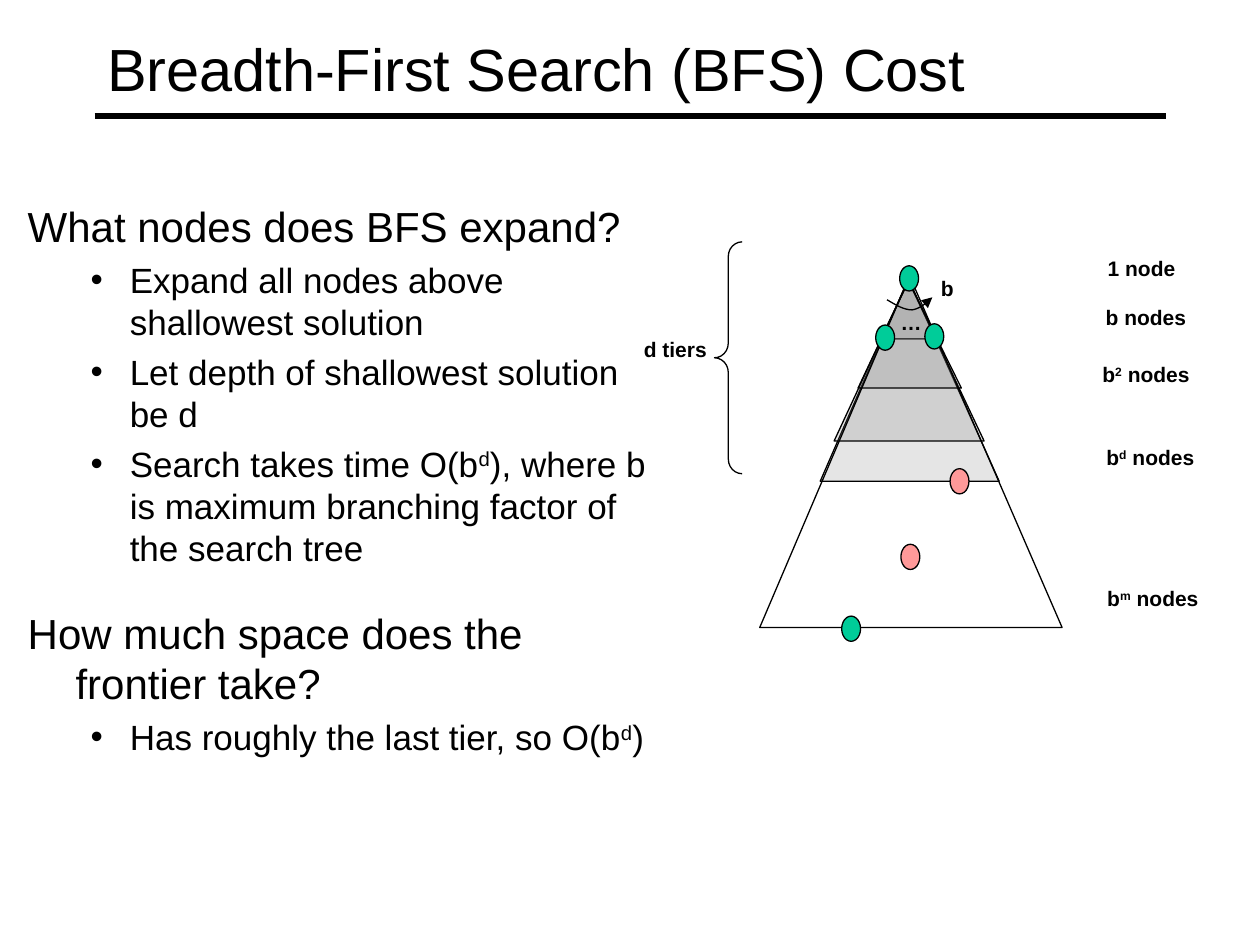
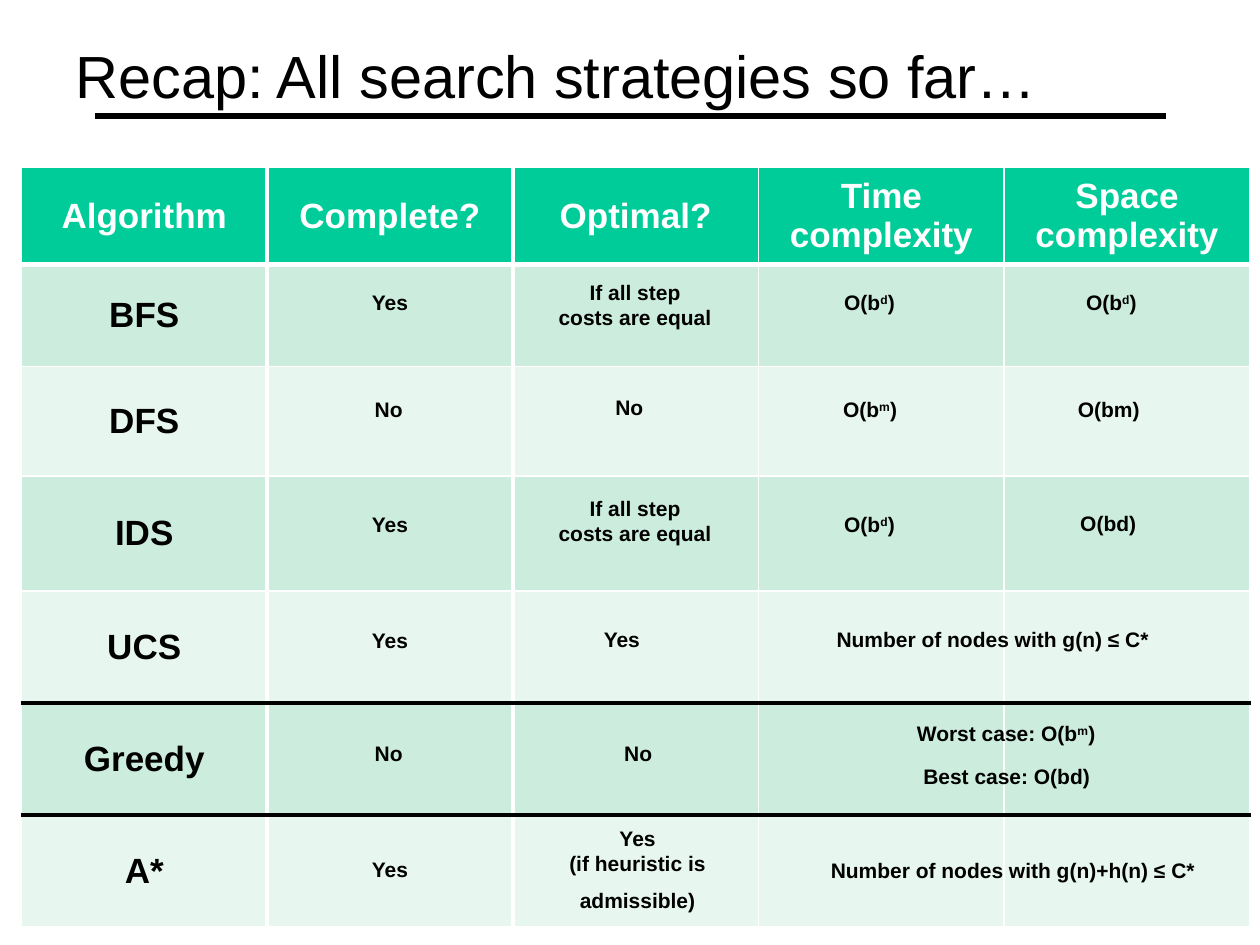
import collections

import lxml.etree
import pptx
import pptx.dml.color
import pptx.enum.shapes
import pptx.enum.text
import pptx.oxml.ns
import pptx.util

Inches = pptx.util.Inches
Pt = pptx.util.Pt
SHAPES = pptx.enum.shapes.MSO_SHAPE
ALIGN = pptx.enum.text.PP_ALIGN
ANCHOR = pptx.enum.text.MSO_ANCHOR
qn = pptx.oxml.ns.qn

Box = collections.namedtuple("Box", "left top width height")


class Theme:
    font = "Arial"
    black, white, gray = "000000", "FFFFFF", "808080"
    green, pink = "00CC99", "FF9999"
    bands = ("CCECDE", "E7F6EF")
    title, heading, item, label = 34, 24, 20, 12
    thin, rule = 0.75, 3


def color(value):
    return pptx.dml.color.RGBColor.from_string(value)


def set_values(target, values):
    for name, value in values.items():
        setattr(target, name, value)


def inches(*lengths):
    return [Inches(length) for length in lengths]


def write(paragraph, text, size, bold=False, fill=Theme.black):
    """Write text where ^...^ marks a superscript and a newline a line break."""
    for row, line in enumerate(text.split("\n")):
        if row:
            paragraph.add_line_break()
        for index, part in enumerate(line.split("^")):
            if not part:
                continue
            run = paragraph.add_run()
            run.text = part
            set_values(run.font, {"name": Theme.font, "size": Pt(size), "bold": bold})
            run.font.color.rgb = color(fill)
            if index % 2:
                run.font._element.set("baseline", "30000")


def style_shape(shape, fill=None, opacity=None):
    shape.shadow.inherit = False
    set_values(shape.line, {"width": Pt(Theme.thin)})
    shape.line.color.rgb = color(Theme.black)
    if fill is None:
        shape.fill.background()
        return
    shape.fill.solid()
    shape.fill.fore_color.rgb = color(fill)
    if opacity:
        srgb = shape._element.spPr.find(qn("a:solidFill")).find(qn("a:srgbClr"))
        lxml.etree.SubElement(srgb, qn("a:alpha")).set("val", str(opacity * 1000))


def add_label(slide, left, top, width, height, text):
    """Add a bold centred label; a list of texts gives several paragraphs."""
    frame = slide.shapes.add_textbox(*inches(left, top, width, height)).text_frame
    frame.word_wrap = False
    for index, line in enumerate(text if isinstance(text, list) else [text]):
        paragraph = frame.add_paragraph() if index else frame.paragraphs[0]
        paragraph.alignment = ALIGN.CENTER
        if index:
            paragraph.space_before = Pt(7)
        write(paragraph, line, Theme.label, bold=True)


def add_polygon(slide, points, close=True):
    builder = slide.shapes.build_freeform(*inches(*points[0]), scale=1.0)
    builder.add_line_segments([inches(*point) for point in points[1:]], close=close)
    return builder.convert_to_shape()


def place(placeholder, box, anchor):
    set_values(placeholder, dict(zip(box._fields, inches(*box))))
    frame = placeholder.text_frame
    set_values(frame, {"word_wrap": True, "vertical_anchor": anchor,
                       "auto_size": pptx.enum.text.MSO_AUTO_SIZE.NONE})
    return frame


def add_slide(presentation, layout, title, title_box):
    """Start a slide with the shared rule and title."""
    slide = presentation.slides.add_slide(presentation.slide_layouts[layout])
    rule = slide.shapes.add_connector(
        pptx.enum.shapes.MSO_CONNECTOR.STRAIGHT, *inches(0.75, 0.92, 9.25, 0.92))
    rule.line.width = Pt(Theme.rule)
    rule.line.color.rgb = color(Theme.black)
    lxml.etree.SubElement(rule._element.spPr, qn("a:effectLst"))
    paragraph = place(slide.shapes.title, title_box, ANCHOR.MIDDLE).paragraphs[0]
    paragraph.alignment = ALIGN.LEFT
    write(paragraph, title, Theme.title)
    return slide


def fill_outline(placeholder, box, entries):
    """Entries are (level, text): level 0 is a heading, level 1 a bullet."""
    frame = place(placeholder, box, ANCHOR.TOP)
    for index, (level, text) in enumerate(entries):
        paragraph = frame.add_paragraph() if index else frame.paragraphs[0]
        margin, hanging = ((0.38, 0.38), (0.81, 0.31))[level]
        properties = paragraph._p.get_or_add_pPr()
        properties.set("marL", str(Inches(margin)))
        properties.set("indent", str(-Inches(hanging)))
        if level:
            lxml.etree.SubElement(properties, qn("a:buFont")).set("typeface", Theme.font)
            lxml.etree.SubElement(properties, qn("a:buChar")).set("char", "•")
        else:
            lxml.etree.SubElement(properties, qn("a:buNone"))
        before = 0 if index == 0 else 4.5 if level else 22
        set_values(paragraph, {"level": level, "space_before": Pt(before),
                               "alignment": ALIGN.LEFT})
        write(paragraph, text, Theme.item if level else Theme.heading)


def add_branching_arrow(slide, x, y):
    """Draw the curved arrow that sweeps across the branches of the root."""
    curves = [((0, 0.02), (0.07, 0.06), (0.13, 0.1), (0.2, 0.1)),
              ((0.2, 0.1), (0.26, 0.09), (0.31, 0.05), (0.36, 0))]
    steps = 8
    points = [(x, y + 0.02)]
    for curve in curves:
        for step in range(1, steps + 1):
            t = step / steps
            weights = ((1 - t) ** 3, 3 * t * (1 - t) ** 2, 3 * t * t * (1 - t), t ** 3)
            points.append((x + sum(w * p[0] for w, p in zip(weights, curve)),
                           y + sum(w * p[1] for w, p in zip(weights, curve))))
    arrow = add_polygon(slide, points, close=False)
    style_shape(arrow)
    line = arrow.line._get_or_add_ln()
    lxml.etree.SubElement(line, qn("a:tailEnd")).set("type", "triangle")


def add_search_tree(slide, box):
    x, y = box.left, box.top
    apex = x + 2.37
    # Each tier: left, right, top, bottom
    tiers = [(2.15, 2.6, 0.31, 0.77), (1.67, 3.09, 0.29, 1.9),
             (1.78, 2.97, 0.31, 1.58), (1.97, 2.79, 0.31, 1.16)]
    for left, right, top, bottom in tiers:
        tier = add_polygon(slide, [(apex, y + top), (x + left, y + bottom),
                                   (x + right, y + bottom)])
        style_shape(tier, Theme.gray, opacity=20)
    style_shape(add_polygon(slide, [(x + 1.19, y + 3.06), (x + 3.59, y + 3.06),
                                    (apex + 0.01, y + 0.27)]))
    nodes = [(2.3, 0.19, Theme.green), (2.11, 0.66, Theme.green),
             (2.5, 0.65, Theme.green), (1.84, 2.97, Theme.green),
             (2.7, 1.8, Theme.pink), (2.31, 2.4, Theme.pink)]
    for left, top, fill in nodes:
        node = slide.shapes.add_shape(SHAPES.OVAL, *inches(x + left, y + top, 0.15, 0.2))
        style_shape(node, fill)
    add_branching_arrow(slide, x + 2.2, y + 0.44)
    brace = slide.shapes.add_shape(SHAPES.LEFT_BRACE, *inches(x + 0.83, y, 0.22, 1.84))
    brace.adjustments[0] = 0.529
    style_shape(brace)
    labels = [(2.21, 0.49, 0.23, "…"), (2.53, 0.22, 0.24, "b"), (0, 0.7, 1.04, "d tiers"),
              (3.7, 0.06, 1.04, "1 node"), (3.7, 0.45, 1.11, "b nodes"),
              (3.7, 0.9, 1.11, "b^2^ nodes"), (3.69, 1.56, 1.2, "b^d^ nodes"),
              (3.71, 2.68, 1.2, "b^m^ nodes")]
    for left, top, width, text in labels:
        add_label(slide, x + left, y + top, width, 0.3, text)


def set_border(cell, side, fill, width):
    properties = cell._tc.get_or_add_tcPr()
    line = lxml.etree.SubElement(properties, qn("a:" + side), w=str(Pt(width)))
    solid = lxml.etree.SubElement(line, qn("a:solidFill"))
    lxml.etree.SubElement(solid, qn("a:srgbClr")).set("val", fill)


def add_strategy_table(slide, box, headers, algorithms, heights, ruled_rows):
    rows, columns = len(heights), len(headers)
    table = slide.shapes.add_table(rows, columns, *inches(*box)).table
    for column in table.columns:
        column.width = Inches(box.width / columns)
    for row, height in enumerate(heights):
        table.rows[row].height = Inches(height)
        texts = headers if row == 0 else [algorithms[row - 1]] + [""] * (columns - 1)
        for column, text in enumerate(texts):
            cell = table.cell(row, column)
            cell.vertical_anchor = ANCHOR.MIDDLE
            set_border(cell, "lnR", Theme.white, 3 if column < 2 else 1)
            set_border(cell, "lnB", Theme.black if row in ruled_rows else Theme.white,
                       3 if row == 0 or row in ruled_rows else 1)
            cell.fill.solid()
            cell.fill.fore_color.rgb = color(
                Theme.bands[(row - 1) % 2] if row else Theme.green)
            paragraph = cell.text_frame.paragraphs[0]
            paragraph.alignment = ALIGN.CENTER
            write(paragraph, text, Theme.item, True, Theme.black if row else Theme.white)


def add_strategy_answers(slide, box):
    """Lay the answers over the table, each as left, top, width, text."""
    step_costs = "If all step\ncosts are equal"
    answers = [
        (2.68, 0.92, 0.49, "Yes"), (3.75, 0.84, 2.24, step_costs),
        (6.42, 0.92, 0.62, "O(b^d^)"), (8.34, 0.92, 0.62, "O(b^d^)"),
        (2.7, 1.77, 0.43, "No"), (4.61, 1.75, 0.43, "No"),
        (6.41, 1.77, 0.65, "O(b^m^)"), (8.28, 1.77, 0.7, "O(bm)"),
        (2.68, 2.68, 0.49, "Yes"), (3.75, 2.55, 2.24, step_costs),
        (6.42, 2.68, 0.62, "O(b^d^)"), (8.3, 2.67, 0.65, "O(bd)"),
        (2.68, 3.6, 0.49, "Yes"), (4.52, 3.59, 0.49, "Yes"),
        (5.91, 3.59, 3.6, "Number of nodes with g(n) ≤ C*"),
        (2.7, 4.5, 0.43, "No"), (4.68, 4.5, 0.43, "No"),
        (6.99, 4.34, 1.65, "Worst case: O(b^m^)"),
        (7.05, 4.68, 1.54, "Best case: O(bd)"),
        (2.68, 5.42, 0.49, "Yes"),
        (4.22, 5.17, 1.34, ["Yes\n(if heuristic is", "admissible)"]),
        (5.82, 5.43, 4.1, "Number of nodes with g(n)+h(n) ≤ C*"),
    ]
    for left, top, width, text in answers:
        height = 0.81 if isinstance(text, list) else 0.5 if "\n" in text else 0.3
        add_label(slide, box.left + left, box.top + top, width, height, text)


def build_cost_slide(presentation):
    slide = add_slide(presentation, 1, "Breadth-First Search (BFS) Cost",
                      Box(0.75, 0.08, 8.5, 0.92))
    fill_outline(slide.placeholders[1], Box(0.12, 1.54, 5.16, 5.13), [
        (0, "What nodes does BFS expand?"),
        (1, "Expand all nodes above shallowest solution"),
        (1, "Let depth of shallowest solution be d"),
        (1, "Search takes time O(b^d^), where b is maximum branching factor "
            "of the search tree"),
        (0, "How much space does the frontier take?"),
        (1, "Has roughly the last tier, so O(b^d^)"),
    ])
    add_search_tree(slide, Box(4.84, 1.92, 4.91, 3.2))


def build_recap_slide(presentation):
    slide = add_slide(presentation, 5, "Recap: All search strategies so far…",
                      Box(0.5, 0.25, 9, 0.69))
    box = Box(0.17, 1.33, 9.75, 6.03)
    add_strategy_table(
        slide, box,
        headers=["Algorithm", "Complete?", "Optimal?", "Time complexity", "Space complexity"],
        algorithms=["BFS", "DFS", "IDS", "UCS", "Greedy", "A*"],
        heights=[0.77, 0.81, 0.87, 0.91, 0.89, 0.89, 0.89],
        ruled_rows=(4, 5))
    add_strategy_answers(slide, box)


def main():
    presentation = pptx.Presentation()
    set_values(presentation, {"slide_width": Inches(10), "slide_height": Inches(7.5)})
    build_cost_slide(presentation)
    build_recap_slide(presentation)
    presentation.save("out.pptx")


if __name__ == "__main__":
    main()
